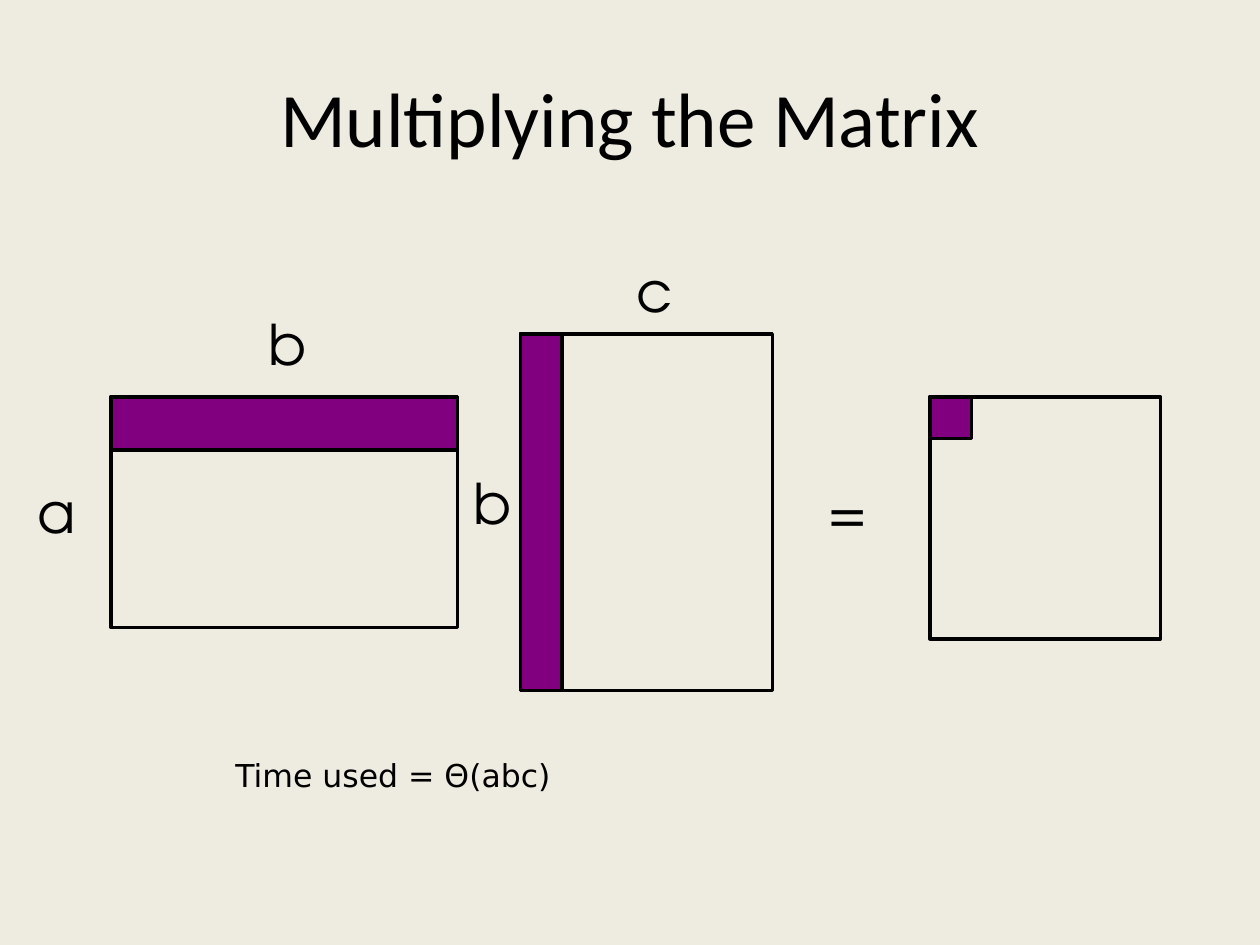
from dataclasses import dataclass

from pptx import Presentation
from pptx.dml.color import RGBColor
from pptx.enum.shapes import MSO_SHAPE
from pptx.enum.text import MSO_ANCHOR, PP_ALIGN
from pptx.slide import Slide
from pptx.text.text import TextFrame
from pptx.util import Inches, Pt

COLORS = {"paper": "EEECE1", "ink": "000000", "mark": "800080"}


@dataclass
class Matrix:
    left: float
    top: float
    width: float
    height: float
    mark_width: float
    mark_height: float


@dataclass
class Label:
    text: str
    left: float
    top: float
    width: float = 0.48
    height: float = 0.63
    size: int = 32
    font: str = "TeX Gyre Adventor"
    wrap: bool = False


MATRICES = [
    Matrix(0.88, 3.15, 2.75, 1.83, 2.75, 0.42),
    Matrix(4.13, 2.65, 2, 2.83, 0.33, 2.83),
    Matrix(7.38, 3.15, 1.83, 1.92, 0.33, 0.33),
]

LABELS = [
    Label("a", 0.2, 3.74),
    Label("b", 2.03, 2.41),
    Label("b", 3.66, 3.67),
    Label("c", 4.95, 1.99),
    Label("=", 6.47, 3.73),
    Label("Time used = Θ(abc)", 1.77, 5.95, 4.49, 0.4, 18, "DejaVu Sans", True),
]


def color(name: str) -> RGBColor:
    return RGBColor.from_string(COLORS[name])


def write(frame: TextFrame, text: str, font: str, size: int) -> None:
    frame.text = text
    style = frame.paragraphs[0].runs[0].font
    style.name = font
    style.size = Pt(size)
    style.color.rgb = color("ink")


def draw_box(slide: Slide, left: float, top: float, width: float,
             height: float, fill: str = "") -> None:
    box = slide.shapes.add_shape(
        MSO_SHAPE.RECTANGLE, Inches(left), Inches(top), Inches(width), Inches(height))
    box.shadow.inherit = False
    if fill:
        box.fill.solid()
        box.fill.fore_color.rgb = color(fill)
    else:
        box.fill.background()
    box.line.color.rgb = color("ink")
    box.line.width = Pt(2)


def draw_matrix(slide: Slide, item: Matrix) -> None:
    draw_box(slide, item.left, item.top, item.width, item.height)
    draw_box(slide, item.left, item.top, item.mark_width, item.mark_height, "mark")


def draw_label(slide: Slide, item: Label) -> None:
    box = slide.shapes.add_textbox(
        Inches(item.left), Inches(item.top), Inches(item.width), Inches(item.height))
    box.text_frame.word_wrap = item.wrap
    write(box.text_frame, item.text, item.font, item.size)


def draw_title(slide: Slide, text: str) -> None:
    title = slide.shapes.title
    title.left, title.top = Inches(0.5), Inches(0.3)
    title.width, title.height = Inches(9), Inches(1.25)
    write(title.text_frame, text, "Calibri", 44)
    title.text_frame.vertical_anchor = MSO_ANCHOR.MIDDLE
    title.text_frame.paragraphs[0].alignment = PP_ALIGN.CENTER


def main() -> None:
    deck = Presentation()
    deck.slide_width, deck.slide_height = Inches(10), Inches(7.5)
    slide = deck.slides.add_slide(deck.slide_layouts[5])
    slide.background.fill.solid()
    slide.background.fill.fore_color.rgb = color("paper")
    draw_title(slide, "Multiplying the Matrix")
    for item in MATRICES:
        draw_matrix(slide, item)
    for item in LABELS:
        draw_label(slide, item)
    deck.save("out.pptx")


if __name__ == "__main__":
    main()
